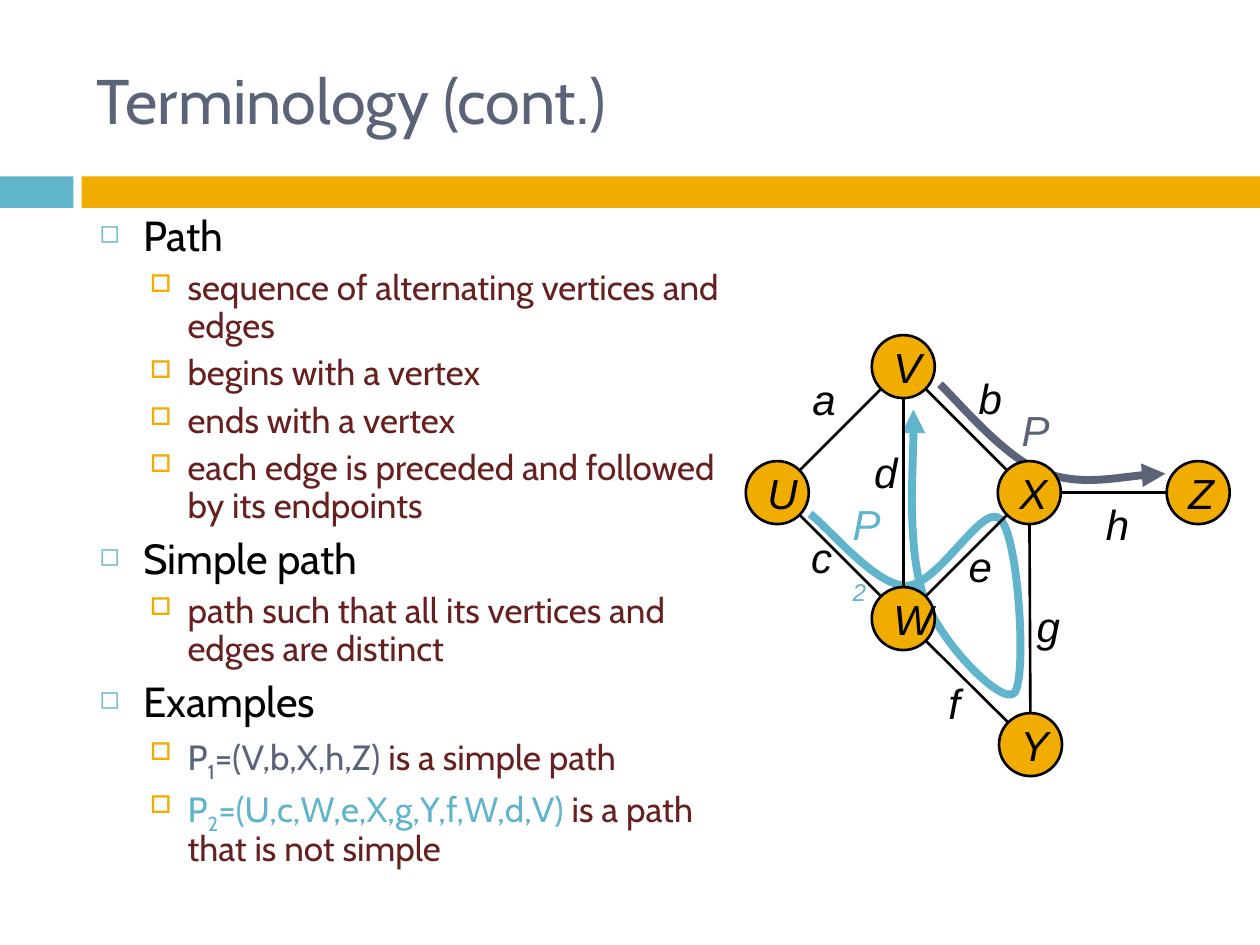
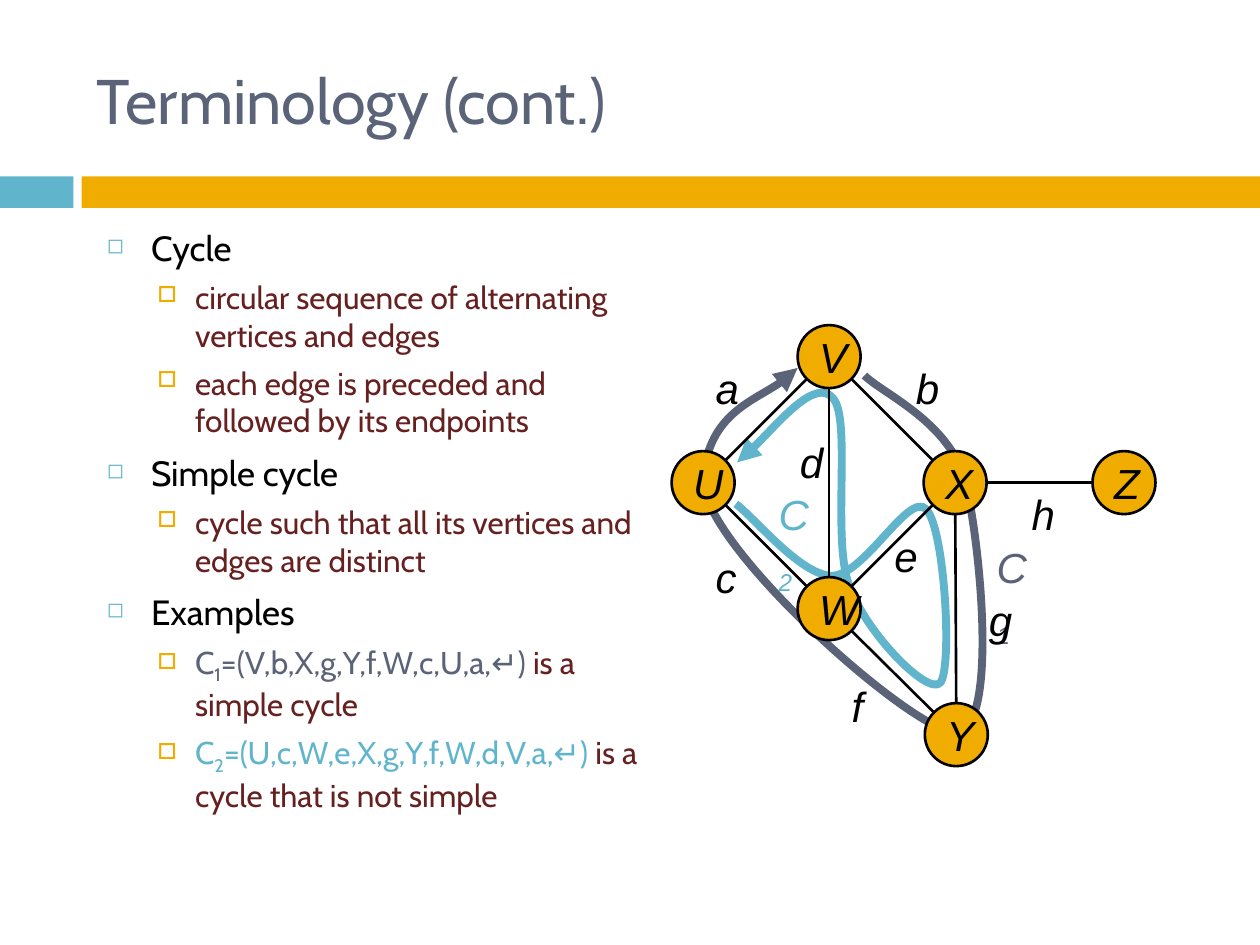
"""Two slides on graph terminology: paths and cycles."""
import math

import pptx
import pptx.dml.color
import pptx.enum.shapes
import pptx.enum.text
import pptx.oxml.ns
import pptx.util
from lxml import etree

Pt = pptx.util.Pt
RGBColor = pptx.dml.color.RGBColor
SHAPES = pptx.enum.shapes.MSO_SHAPE
ANCHOR = pptx.enum.text.MSO_ANCHOR
ALIGN = pptx.enum.text.PP_ALIGN
qn = pptx.oxml.ns.qn

BLUE = RGBColor(0x60, 0xB5, 0xCC)
GOLD = RGBColor(0xF0, 0xAD, 0x00)
SLATE = RGBColor(0x5A, 0x63, 0x78)
BROWN = RGBColor(0x67, 0x20, 0x20)
BLACK = RGBColor(0, 0, 0)

TEXT_FONT = "Cabin"
GRAPH_FONT = "Arial"
NODE_SIZE = 36
EDGE_GAP = 18.5

LEVELS = [
    {"margin": 25.2, "indent": 25.2, "before": 7, "bullet": "◻",
     "bullet_color": BLUE, "percent": 60, "color": BLACK},
    {"margin": 50.4, "indent": 21.6, "before": 5.5, "bullet": "□",
     "bullet_color": GOLD, "percent": 70, "color": BROWN},
]

NODES = {"X": (72, 72), "U": (-72, 72), "V": (0, 0),
         "W": (0, 144), "Z": (168.5, 72), "Y": (72.7, 216)}
EDGES = ["VU", "WU", "WX", "XZ", "VX", "VW", "WY", "XY"]
SHARED_LABELS = {"d": (-23.8, 42), "e": (30.2, 96), "h": (108.7, 72)}
PATH_LABELS = SHARED_LABELS | {"a": (-59, 0.7), "b": (36, 0), "c": (-59.8, 90.7),
                               "f": (18.7, 174.2), "g": (69.1, 130.3)}
CYCLE_LABELS = SHARED_LABELS | {"a": (-72, 0), "b": (42.5, 0), "c": (-72, 108),
                                "f": (5.8, 181.4), "g": (84.2, 132.5)}

LOOP_FROM_W_TO_U = [
    (11.5, 131), (20.9, 157.7), (56.2, 193.7), (63.4, 186.5),
    (70.6, 179.3), (66.2, 97.9), (55.4, 87.1),
    (45.4, 77), (20.2, 125.3), (1.4, 125.3),
    (-16.6, 124.6), (-41.8, 92.9), (-53.3, 84.2)]
SIMPLE_PATH = [(20.9, 10.1), (30.2, 18.7), (56.9, 51.1), (78.5, 59.8),
               (100.1, 68.4), (134.6, 61.2), (149.8, 61.2)]
LONG_PATH = [(5.8, 24.5), (6.5, 42.5), (2.2, 103.7)] + LOOP_FROM_W_TO_U
SIMPLE_CYCLE = [(20.2, 10.8), (30.2, 20.9), (69.1, 37.4), (77.8, 71.3),
                (86.4, 105.8), (97.2, 215.3), (72, 214.6),
                (47.5, 214.6), (-74.9, 105.8), (-72, 69.1),
                (-68.4, 32.4), (-28.8, 19.4), (-18, 6.5)]
LONG_CYCLE = [(-52.6, 60.5), (-43.2, 54), (-7.9, 11.5), (2.2, 23.8),
              (13, 35.3), (1.4, 104.4)] + LOOP_FROM_W_TO_U

PATH_SLIDE = {
    "body": (49.7, 119.5, 368.6, 391), "sizes": (24, 20), "line_spacing": 0.9,
    "items": [
        (0, "Path"),
        (1, "sequence of alternating vertices and edges"),
        (1, "begins with a vertex"),
        (1, "ends with a vertex"),
        (1, "each edge is preceded and followed by its endpoints"),
        (0, "Simple path"),
        (1, "path such that all its vertices and edges are distinct"),
        (0, "Examples"),
        (1, " is a simple path", "P", "1", "=(V,b,X,h,Z)", SLATE),
        (1, " is a path that is not simple", "P", "2",
         "=(U,c,W,e,X,g,Y,f,W,d,V)", BLUE),
    ],
    "origin": (516.2, 209.5), "labels": PATH_LABELS,
    "routes": [(LONG_PATH, BLUE, "headEnd"), (SIMPLE_PATH, SLATE, "tailEnd")],
    "route_names": [("P", "1", SLATE, (60.5, 18)), ("P", "2", BLUE, (-36, 72))],
}
CYCLE_SLIDE = {
    "body": (54, 126, 329.8, 347.8), "sizes": (20, 18), "line_spacing": 1.0,
    "items": [
        (0, "Cycle"),
        (1, "circular sequence of alternating vertices and edges"),
        (1, "each edge is preceded and followed by its endpoints"),
        (0, "Simple cycle"),
        (1, "cycle such that all its vertices and edges are distinct"),
        (0, "Examples"),
        (1, " is a simple cycle", "C", "1", "=(V,b,X,g,Y,f,W,c,U,a,↵)", SLATE),
        (1, " is a cycle that is not simple", "C", "2",
         "=(U,c,W,e,X,g,Y,f,W,d,V,a,↵)", BLUE),
    ],
    "origin": (473.8, 203.8), "labels": CYCLE_LABELS,
    "routes": [(SIMPLE_CYCLE, SLATE, "tailEnd"), (LONG_CYCLE, BLUE, "headEnd")],
    "route_names": [("C", "1", SLATE, (88.6, 102.2)), ("C", "2", BLUE, (-36, 72))],
}


def add_run(paragraph, text, *, size, color, font=TEXT_FONT, italic=False, subscript=False):
    """Append a formatted run to a paragraph."""
    run = paragraph.add_run()
    run.text = text
    run.font.size = Pt(size)
    run.font.name = font
    run.font.color.rgb = color
    if italic:
        run.font.italic = True
    if subscript:
        run._r.get_or_add_rPr().set("baseline", "-25000")


def place(origin, point):
    """Turn a point relative to vertex V into slide points."""
    return origin[0] + point[0], origin[1] + point[1]


def add_box(slide, left, top, width, height):
    """Add a wrapping text box and return its text frame."""
    box = slide.shapes.add_textbox(Pt(left), Pt(top), Pt(width), Pt(height))
    box.text_frame.word_wrap = True
    return box.text_frame


def add_shape(slide, kind, left, top, width, height, fill):
    """Add a filled preset shape without outline or shadow."""
    shape = slide.shapes.add_shape(kind, Pt(left), Pt(top), Pt(width), Pt(height))
    shape.shadow.inherit = False
    shape.fill.solid()
    shape.fill.fore_color.rgb = fill
    shape.line.fill.background()
    return shape


def format_line(line, color, width):
    """Set the colour and width of a line."""
    line.color.rgb = color
    line.width = Pt(width)


def add_title(slide, text):
    """Fill and place the title."""
    title = slide.shapes.title
    title.left, title.top, title.width, title.height = Pt(48.2), Pt(18), Pt(642.2), Pt(77.8)
    title.text_frame.vertical_anchor = ANCHOR.MIDDLE
    paragraph = title.text_frame.paragraphs[0]
    paragraph.alignment = ALIGN.LEFT
    add_run(paragraph, text, size=36, color=SLATE)


def add_bullet(paragraph, level):
    """Give a paragraph the bullet and indents of its level."""
    properties = paragraph._p.get_or_add_pPr()
    properties.set("marL", str(Pt(level["margin"])))
    properties.set("indent", str(-Pt(level["indent"])))
    color = etree.SubElement(properties, qn("a:buClr"))
    etree.SubElement(color, qn("a:srgbClr"), val=str(level["bullet_color"]))
    etree.SubElement(properties, qn("a:buSzPct"), val=str(level["percent"] * 1000))
    etree.SubElement(properties, qn("a:buChar"), char=level["bullet"])


def add_body(slide, content):
    """Add the two-level list, with formulas before some of the texts."""
    frame = add_box(slide, *content["body"])
    for index, (depth, text, *formula) in enumerate(content["items"]):
        paragraph = frame.add_paragraph() if index else frame.paragraphs[0]
        level, size = LEVELS[depth], content["sizes"][depth]
        paragraph.level = depth
        paragraph.line_spacing = content["line_spacing"]
        paragraph.space_before = Pt(level["before"])
        add_bullet(paragraph, level)
        if formula:
            name, number, sequence, color = formula
            add_run(paragraph, name, size=size, color=color)
            add_run(paragraph, number, size=size, color=color, subscript=True)
            add_run(paragraph, sequence, size=size, color=color)
        add_run(paragraph, text, size=size, color=level["color"])


def add_route(slide, origin, points, color, arrow_end):
    """Draw a Bezier route with an arrowhead at one end."""
    start, *others = [tuple(map(Pt, place(origin, point))) for point in points]
    builder = slide.shapes.build_freeform(*start)
    builder.add_line_segments(others, close=False)
    route = builder.convert_to_shape()
    route.shadow.inherit = False
    route.fill.background()
    format_line(route.line, color, 4.5)
    outline = route.element.spPr.find(qn("a:ln"))
    etree.SubElement(outline, qn("a:" + arrow_end), type="triangle")
    segments = list(route.element.iter(qn("a:lnTo")))
    for first in range(0, len(segments), 3):
        curve = etree.Element(qn("a:cubicBezTo"))
        segments[first].addprevious(curve)
        for segment in segments[first:first + 3]:
            curve.append(segment[0])
            segment.getparent().remove(segment)


def add_label(slide, origin, point, text, color=BLACK, number=None):
    """Add an edge letter or a route name with its number."""
    left, top = place(origin, point)
    frame = add_box(slide, left, top, 36.5 if number else 28, 36)
    paragraph = frame.paragraphs[0]
    style = {"size": 24, "color": color, "font": GRAPH_FONT, "italic": True}
    add_run(paragraph, text, **style)
    if number:
        add_run(paragraph, number, subscript=True, **style)


def add_node(slide, origin, name):
    """Add a vertex circle with its letter."""
    x, y = place(origin, NODES[name])
    node = add_shape(slide, SHAPES.OVAL, x - NODE_SIZE / 2, y - NODE_SIZE / 2,
                     NODE_SIZE, NODE_SIZE, GOLD)
    format_line(node.line, BLACK, 1.5)
    frame = node.text_frame
    frame.word_wrap = True
    frame.vertical_anchor = ANCHOR.MIDDLE
    frame.paragraphs[0].alignment = ALIGN.LEFT
    add_run(frame.paragraphs[0], name, size=24, color=BLACK, font=GRAPH_FONT, italic=True)


def add_edge(slide, origin, first, second):
    """Join the rims of two vertices with a line."""
    x1, y1 = place(origin, NODES[first])
    x2, y2 = place(origin, NODES[second])
    share = EDGE_GAP / math.dist((x1, y1), (x2, y2))
    dx, dy = (x2 - x1) * share, (y2 - y1) * share
    edge = slide.shapes.add_connector(
        pptx.enum.shapes.MSO_CONNECTOR.STRAIGHT,
        Pt(x1 + dx), Pt(y1 + dy), Pt(x2 - dx), Pt(y2 - dy))
    format_line(edge.line, BLACK, 1.5)
    etree.SubElement(edge.element.spPr, qn("a:effectLst"))


def add_graph(slide, content):
    """Draw the routes, vertices, edges and letters of the graph."""
    origin = content["origin"]
    for points, color, arrow_end in content["routes"]:
        add_route(slide, origin, points, color, arrow_end)
    (name, number, color, point), front_name = content["route_names"]
    add_label(slide, origin, point, name, color, number)
    for node in NODES:
        add_node(slide, origin, node)
    for first, second in EDGES:
        add_edge(slide, origin, first, second)
    for letter, point in content["labels"].items():
        add_label(slide, origin, point, letter)
    name, number, color, point = front_name
    add_label(slide, origin, point, name, color, number)


def add_terminology_slide(presentation, content):
    """Add one slide with its title, bands, list and graph."""
    slide = presentation.slides.add_slide(presentation.slide_layouts[5])
    add_shape(slide, SHAPES.RECTANGLE, 0, 100.8, 42, 18, BLUE)
    add_shape(slide, SHAPES.RECTANGLE, 46.6, 100.8, 673.4, 18, GOLD)
    add_title(slide, "Terminology (cont.)")
    add_body(slide, content)
    add_graph(slide, content)


def main():
    """Build and save the presentation."""
    presentation = pptx.Presentation()
    presentation.slide_width, presentation.slide_height = Pt(720), Pt(540)
    for content in (PATH_SLIDE, CYCLE_SLIDE):
        add_terminology_slide(presentation, content)
    presentation.save("out.pptx")


if __name__ == "__main__":
    main()
